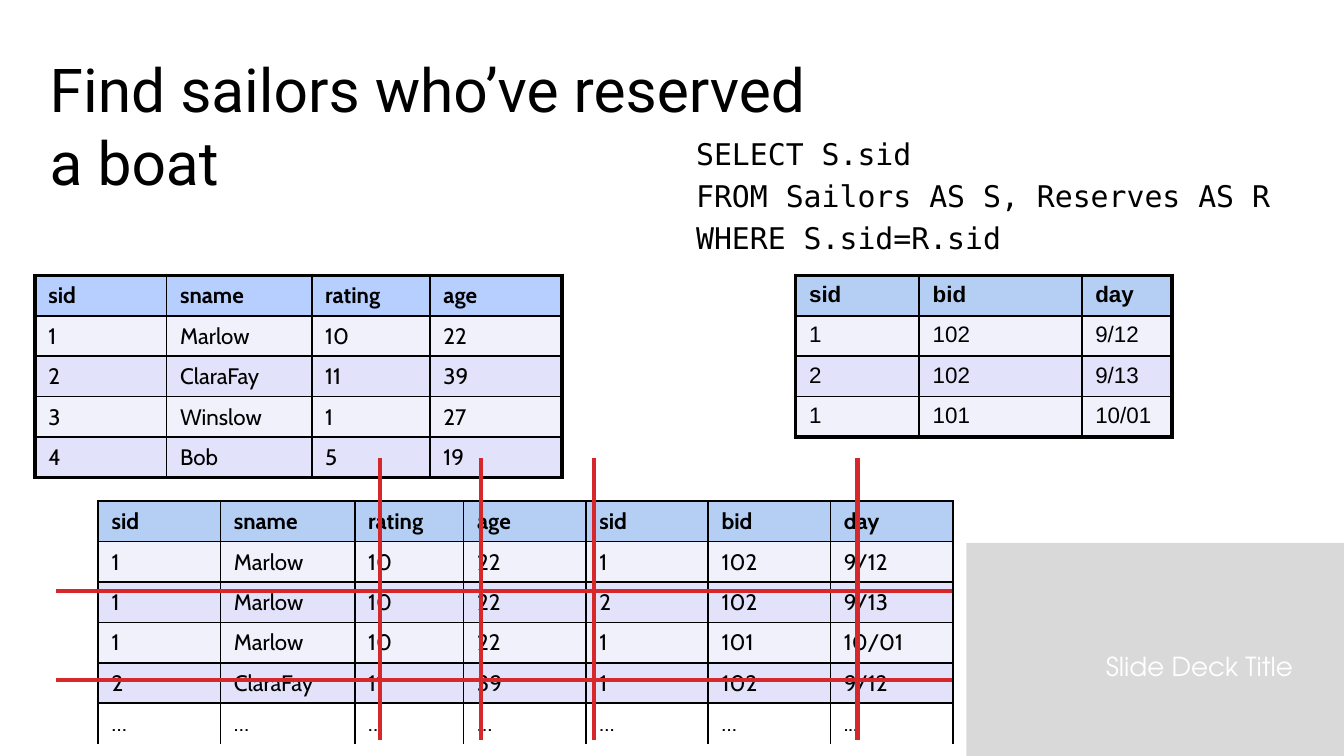
from lxml.etree import SubElement
from pptx import Presentation
from pptx.dml.color import RGBColor
from pptx.enum.shapes import MSO_CONNECTOR as Connector, MSO_SHAPE as Shape
from pptx.enum.text import MSO_ANCHOR as Anchor, MSO_AUTO_SIZE as AutoSize, PP_ALIGN as Align
from pptx.oxml.ns import qn
from pptx.oxml.xmlchemy import OxmlElement
from pptx.util import Inches, Pt

BLACK = RGBColor(0x00, 0x00, 0x00)
WHITE = RGBColor(0xFF, 0xFF, 0xFF)
GRAY = RGBColor(0xD9, 0xD9, 0xD9)
RED = RGBColor(0xD6, 0x27, 0x2A)
HEADER_BLUE = RGBColor(0x6D, 0x9E, 0xFF)
HEADER_SOFT = RGBColor(0x6D, 0x9E, 0xEB)
BANDS = (RGBColor(0xF1, 0xF1, 0xFC), RGBColor(0xE2, 0xE2, 0xFA))
THIN, THICK = 1, 2.25

SAILORS = [
    ("sid", "sname", "rating", "age"),
    ("1", "Marlow", "10", "22"),
    ("2", "ClaraFay", "11", "39"),
    ("3", "Winslow", "1", "27"),
    ("4", "Bob", "5", "19"),
]
RESERVES = [
    ("sid", "bid", "day"),
    ("1", "102", "9/12"),
    ("2", "102", "9/13"),
    ("1", "101", "10/01"),
]
# Cross product: every sailor paired with every reservation, first rows only
PAIRS = [sailor + booking for sailor in SAILORS[1:] for booking in RESERVES[1:]]
PRODUCT = [SAILORS[0] + RESERVES[0], *PAIRS[:4], ("…",) * 6 + ("...",)]


class SlideBuilder:
    """Holds the fonts and the current slide, and draws its elements."""

    title_font, code_font, footer_font = "Roboto", "DejaVu Sans Mono", "TeX Gyre Adventor"

    def __init__(self, slide):
        """Start drawing on the given slide."""
        self.slide = slide
        self.shapes = slide.shapes

    def set_font(self, paragraph, name, size, color=BLACK, bold=False):
        """Format a whole paragraph."""
        font = paragraph.font
        font.name, font.size, font.bold = name, Pt(size), bold
        font.color.rgb = color

    def place(self, shape, left, top, width, height):
        """Move a placeholder and fix its text frame to the top left."""
        shape.left, shape.top = Inches(left), Inches(top)
        shape.width, shape.height = Inches(width), Inches(height)
        frame = shape.text_frame
        frame.word_wrap = True
        frame.auto_size = AutoSize.NONE
        frame.vertical_anchor = Anchor.TOP
        return frame

    def title(self, text, *box):
        """Fill the title placeholder."""
        frame = self.place(self.shapes.title, *box)
        frame.text = text
        paragraph = frame.paragraphs[0]
        paragraph.alignment = Align.LEFT
        self.set_font(paragraph, self.title_font, 32.4)

    def code(self, lines, *box):
        """Fill the body placeholder with unbulleted lines of code."""
        frame = self.place(self.slide.placeholders[1], *box)
        frame.text = "\n".join(lines)
        for paragraph in frame.paragraphs:
            self.set_font(paragraph, self.code_font, 16)
            properties = paragraph._p.get_or_add_pPr()
            properties.set("marL", "0")
            properties.set("indent", "0")
            properties.insert_element_before(OxmlElement("a:buNone"), "a:tabLst", "a:defRPr")

    def panel(self, *box):
        """Draw a plain gray rectangle."""
        shape = self.shapes.add_shape(Shape.RECTANGLE, *map(Inches, box))
        shape.shadow.inherit = False
        shape.fill.solid()
        shape.fill.fore_color.rgb = GRAY
        shape.line.fill.background()

    def footer(self, text, *box):
        """Write the right-aligned deck title."""
        frame = self.shapes.add_textbox(*map(Inches, box)).text_frame
        frame.word_wrap = True
        frame.text = text
        frame.paragraphs[0].alignment = Align.RIGHT
        self.set_font(frame.paragraphs[0], self.footer_font, 14, WHITE)

    def borders(self, cell, widths):
        """Set left, right, top and bottom borders; a width of 0 means none."""
        properties = cell._tc.get_or_add_tcPr()
        for index, (side, width) in enumerate(zip("LRTB", widths)):
            line = OxmlElement(f"a:ln{side}")
            line.set("w", str(Pt(width)))
            if width:
                fill = SubElement(line, qn("a:solidFill"))
                SubElement(fill, qn("a:srgbClr"), val=str(BLACK))
            else:
                SubElement(line, qn("a:noFill"))
            properties.insert(index, line)

    def fill_cell(self, cell, color, alpha=100):
        """Fill a cell, with alpha in percent; no color leaves it clear."""
        if color is None:
            cell.fill.background()
            return
        cell.fill.solid()
        cell.fill.fore_color.rgb = color
        if alpha < 100:
            element = cell._tc.tcPr.find(".//" + qn("a:srgbClr"))
            SubElement(element, qn("a:alpha"), val=str(alpha * 1000))

    def table(self, rows, left, top, columns, row_height, font, header, alpha=50,
              outer=THICK, open_end=False):
        """Draw a banded table; open_end leaves the last row clear and unclosed."""
        last_row, last_column = len(rows) - 1, len(columns) - 1
        table = self.shapes.add_table(
            len(rows), len(columns), Inches(left), Inches(top),
            Inches(sum(columns)), Inches(row_height * len(rows))).table
        table.first_row = table.horz_banding = False
        for column, width in zip(table.columns, columns):
            column.width = Inches(width)
        for r, row in enumerate(rows):
            for c, text in enumerate(row):
                cell = table.cell(r, c)
                cell.text = text
                self.set_font(cell.text_frame.paragraphs[0], font, 12, bold=r == 0)
                if r == 0:
                    self.fill_cell(cell, header, alpha)
                else:
                    clear = open_end and r == last_row
                    self.fill_cell(cell, None if clear else BANDS[(r - 1) % 2])
                edges = (c == 0, c == last_column, r == 0, r == last_row)
                widths = [outer if edge else THIN for edge in edges]
                if open_end and r == last_row:
                    widths[3] = 0
                self.borders(cell, widths)

    def strikes(self, lines):
        """Draw a group of red lines, each given as x1, y1, x2, y2."""
        group = self.shapes.add_group_shape()
        for ends in lines:
            line = group.shapes.add_connector(Connector.STRAIGHT, *map(Inches, ends))
            line.line.color.rgb = RED
            line.line.width = Pt(THICK)
            SubElement(line._element.spPr, qn("a:effectLst"))


def main():
    """Build the slide and save it."""
    presentation = Presentation()
    presentation.slide_width, presentation.slide_height = Inches(10), Inches(5.625)
    slide = presentation.slides.add_slide(presentation.slide_layouts[1])
    builder = SlideBuilder(slide)

    builder.panel(7.19, 4.04, 2.81, 1.59)
    builder.footer("Slide Deck Title", 5.1, 4.79, 4.62, 0.34)
    builder.title("Find sailors who’ve reserved \va boat", 0.27, 0.34, 7.73, 0.73)
    builder.code(["SELECT S.sid", "FROM Sailors AS S, Reserves AS R", "WHERE S.sid=R.sid"],
                 5.08, 0.96, 9.48, 3.38)

    builder.table(SAILORS, 0.26, 2.05, (0.98, 1.08, 0.88, 0.98), 0.23, "Cabin",
                  HEADER_BLUE, alpha=49)
    builder.table(RESERVES, 5.92, 2.05, (0.92, 1.21, 0.67), 0.27, "Arial", HEADER_SOFT)
    builder.table(PRODUCT, 0.73, 3.73, (0.91, 1, 0.81) + (0.91,) * 4, 0.25, "Cabin",
                  HEADER_SOFT, outer=THIN, open_end=True)

    builder.strikes([(0.42, y, 7.08, y) for y in (4.4, 5.06)])
    builder.strikes([(x, 3.41, x, 5.51) for x in (2.83, 3.58, 4.42, 6.38)])
    presentation.save("out.pptx")


main()
